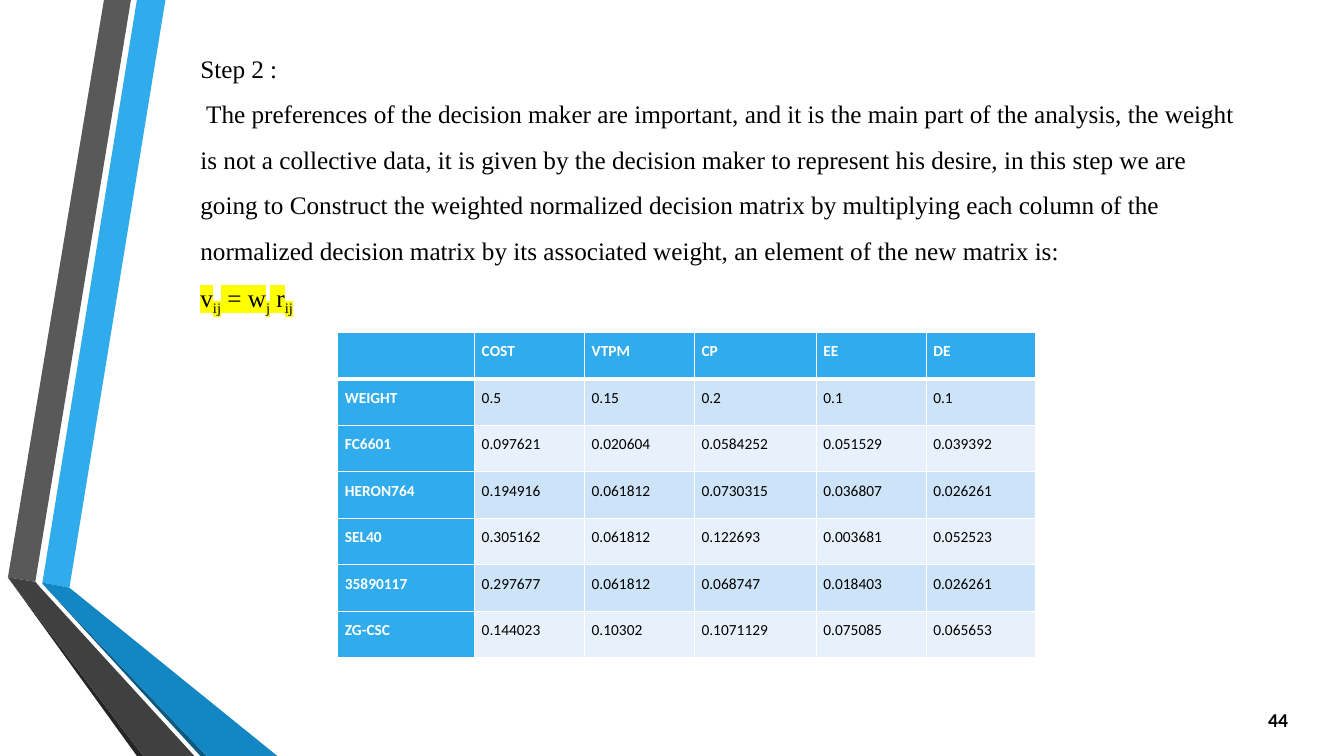
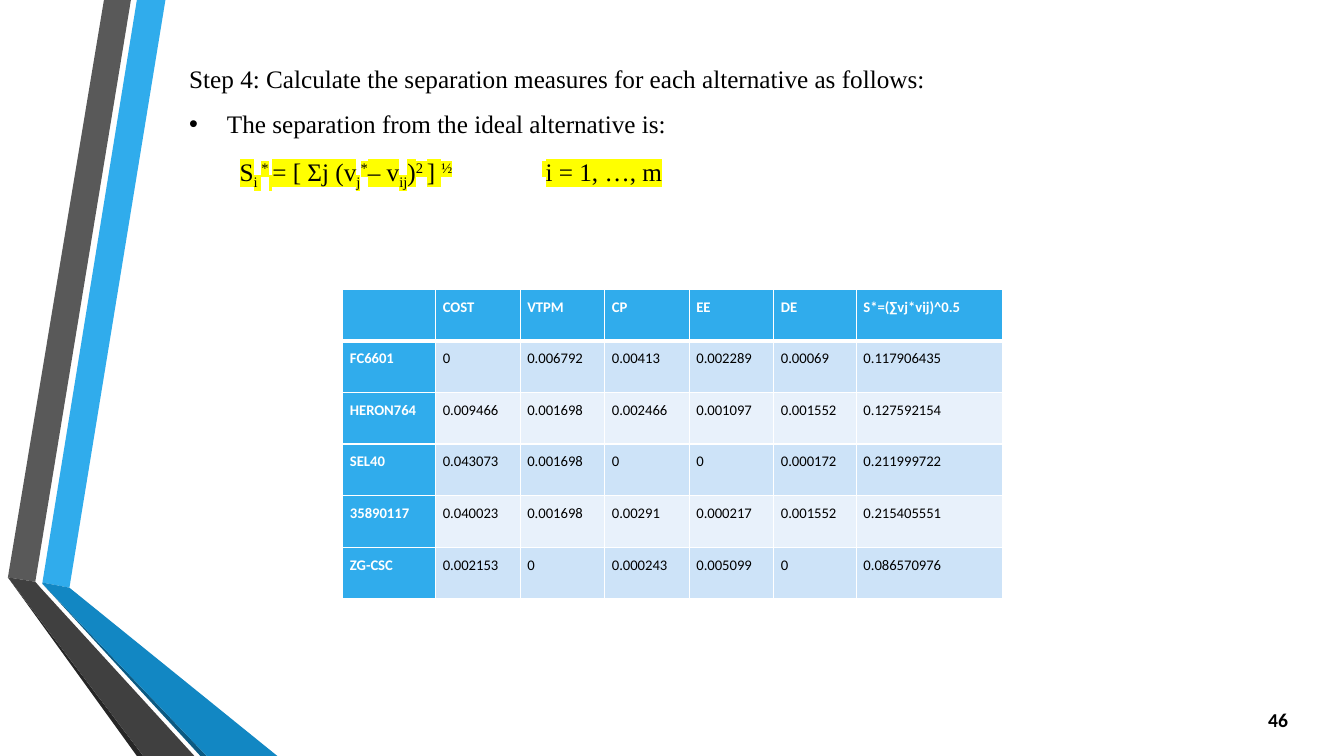
"""Builds two decision-analysis slides: weighted matrix and separation measures."""
from lxml.etree import SubElement
from pptx import Presentation
from pptx.dml.color import RGBColor
from pptx.enum.text import MSO_ANCHOR, PP_ALIGN
from pptx.oxml.ns import qn
from pptx.util import Cm, Pt

COLORS = {
    "accent": "30ACEC", "accent_dark": "1287C3", "accent_edge": "0C5A82",
    "gray": "595959", "gray_dark": "404040", "gray_edge": "262626",
    "band_odd": "CDE3F8", "band_even": "E8F1FB",
    "white": "FFFFFF", "black": "000000", "marker": "FFFF00",
}
BODY_FONT, TABLE_FONT = "Times New Roman", "Calibri"
SUB, SUP = -25000, 30000

RIBBONS = [
    ("accent", [(1.07, 14.68), (1.75, 14.81), (4.17, 0), (3.45, 0)]),
    ("gray", [(3.3, 0), (2.62, 0), (0.2, 14.55), (0.89, 14.66)]),
    ("gray_edge", [(0.2, 14.55), (3.45, 19.05), (3.61, 19.05)]),
    ("accent_edge", [(1.07, 14.71), (5.05, 19.05), (5.21, 19.05)]),
    ("accent_dark", [(1.07, 14.71), (5.21, 19.05), (6.99, 19.05), (1.75, 14.81), (1.07, 14.68)]),
    ("gray_dark", [(4.9, 19.05), (1.02, 14.81), (0.89, 14.66), (0.2, 14.55), (3.61, 19.05)]),
]

SLIDES = [
    {
        "number": "44",
        "body_box": (4.8, 0.84, 26.82, 7.04),
        "body": [
            {"text": "Step 2 :"},
            {"text": " The preferences of the decision maker are important, and it is the main part "
                     "of the analysis, the weight is not a collective data, it is given by the "
                     "decision maker to represent his desire, in this step we are going to Construct "
                     "the weighted normalized decision matrix by multiplying each column of the "
                     "normalized decision matrix by its associated weight, an element of the new "
                     "matrix is:"},
            {"formula": [("v", 0), ("ij", SUB), (" = w", 0), ("j", SUB), (" r", 0), ("ij", SUB)]},
        ],
        "table_at": (8.51, 8.38),
        "columns": [3.45, 2.77, 2.77, 3.07, 2.77, 2.77],
        "row_height": 1.17,
        "table_size": 11,
        "rows": [
            ("", "COST", "VTPM", "CP", "EE", "DE"),
            ("WEIGHT", "0.5", "0.15", "0.2", "0.1", "0.1"),
            ("FC6601", "0.097621", "0.020604", "0.0584252", "0.051529", "0.039392"),
            ("HERON764", "0.194916", "0.061812", "0.0730315", "0.036807", "0.026261"),
            ("SEL40", "0.305162", "0.061812", "0.122693", "0.003681", "0.052523"),
            ("35890117", "0.297677", "0.061812", "0.068747", "0.018403", "0.026261"),
            ("ZG-CSC", "0.144023", "0.10302", "0.1071129", "0.075085", "0.065653"),
        ],
    },
    {
        "number": "46",
        "body_box": (4.52, 1.09, 21.23, 3.58),
        "body": [
            {"text": "Step 4: Calculate the separation measures for each alternative as follows:"},
            {"text": "The separation from the ideal alternative is:", "bullet": "•"},
            {"tabs": [1.27, 8.89],
             "formula": [("\t", 0), ("S", 0), ("i ", SUB), ("*", SUP), (" ", SUB), ("= [ Σj (v", 0),
                         ("j", SUB), ("*", SUP), ("– v", 0), ("ij", SUB), (")", 0), ("2 ", SUP),
                         ("] ", 0), ("½", SUP), ("\t", 0), (" ", SUP), ("i = 1, …, m", 0)]},
        ],
        "table_at": (8.64, 7.29),
        "columns": [2.34, 2.13, 2.13, 2.13, 2.13, 2.08, 3.68],
        "row_height": 1.3,
        "table_size": 10.5,
        "rows": [
            ("", "COST", "VTPM", "CP", "EE", "DE", "S*=(∑vj*vij)^0.5"),
            ("FC6601", "0", "0.006792", "0.00413", "0.002289", "0.00069", "0.117906435"),
            ("HERON764", "0.009466", "0.001698", "0.002466", "0.001097", "0.001552", "0.127592154"),
            ("SEL40", "0.043073", "0.001698", "0", "0", "0.000172", "0.211999722"),
            ("35890117", "0.040023", "0.001698", "0.00291", "0.000217", "0.001552", "0.215405551"),
            ("ZG-CSC", "0.002153", "0", "0.000243", "0.005099", "0", "0.086570976"),
        ],
    },
]


def rgb(color):
    return RGBColor.from_string(COLORS[color])


def set_font(paragraph, face, size, color="black", bold=False):
    font = paragraph.font
    font.name, font.size, font.bold = face, Pt(size), bold
    font.color.rgb = rgb(color)


def add_ribbons(slide, layout):
    for color, points in RIBBONS:
        corners = [(Cm(x), Cm(y)) for x, y in points]
        builder = slide.shapes.build_freeform(*corners[0])
        builder.add_line_segments(corners[1:], close=True)
        ribbon = builder.convert_to_shape()
        ribbon.shadow.inherit = False
        ribbon.fill.solid()
        ribbon.fill.fore_color.rgb = rgb(color)
        ribbon.line.fill.background()
        layout.shapes.element.append(ribbon.element)


def add_formula(paragraph, parts):
    for text, baseline in parts:
        run = paragraph.add_run()
        run.text = text
        properties = run.font._element
        if baseline:
            properties.set("baseline", str(baseline))
        if text != "\t":
            highlight = SubElement(properties, qn("a:highlight"))
            SubElement(highlight, qn("a:srgbClr"), val=COLORS["marker"])


def add_body(slide, box, lines):
    frame = slide.shapes.add_textbox(*map(Cm, box)).text_frame
    frame.word_wrap = True
    for index, line in enumerate(lines):
        paragraph = frame.add_paragraph() if index else frame.paragraphs[0]
        properties = paragraph._p.get_or_add_pPr()
        if "bullet" in line:
            properties.set("marL", str(Cm(0.95)))
            properties.set("indent", str(-Cm(0.95)))
            SubElement(properties, qn("a:buFont"), typeface="Arial")
            SubElement(properties, qn("a:buChar"), char=line["bullet"])
        if "tabs" in line:
            stops = SubElement(properties, qn("a:tabLst"))
            for position in line["tabs"]:
                SubElement(stops, qn("a:tab"), pos=str(Cm(position)), algn="l")
        paragraph.line_spacing = 1.5
        set_font(paragraph, BODY_FONT, 18)
        if "formula" in line:
            add_formula(paragraph, line["formula"])
        else:
            paragraph.add_run().text = line["text"]


def set_borders(cell, is_header):
    properties = cell._tc.get_or_add_tcPr()
    for side in "LRTB":
        width = Pt(3 if is_header and side == "B" else 1)
        border = SubElement(properties, qn(f"a:ln{side}"), w=str(width))
        fill = SubElement(border, qn("a:solidFill"))
        SubElement(fill, qn("a:srgbClr"), val=COLORS["white"])


def add_matrix(slide, content):
    rows, columns, height = content["rows"], content["columns"], content["row_height"]
    left, top = content["table_at"]
    matrix = slide.shapes.add_table(len(rows), len(columns), Cm(left), Cm(top),
                                    Cm(sum(columns)), Cm(height * len(rows))).table
    matrix.first_col = True
    for column, width in zip(matrix.columns, columns):
        column.width = Cm(width)
    for r, values in enumerate(rows):
        matrix.rows[r].height = Cm(height)
        for c, value in enumerate(values):
            cell = matrix.cell(r, c)
            is_heading = r == 0 or c == 0
            cell.margin_left = cell.margin_right = Cm(0.18)
            cell.margin_top = cell.margin_bottom = 0
            set_borders(cell, r == 0)
            cell.fill.solid()
            band = "band_odd" if r % 2 else "band_even"
            cell.fill.fore_color.rgb = rgb("accent" if is_heading else band)
            paragraph = cell.text_frame.paragraphs[0]
            paragraph.line_spacing = 1.5
            set_font(paragraph, TABLE_FONT, content["table_size"],
                     "white" if is_heading else "black", is_heading)
            if value:
                paragraph.add_run().text = value


def add_number(slide, number):
    frame = slide.shapes.add_textbox(Cm(31.19), Cm(17.63), Cm(1.52), Cm(1.02)).text_frame
    frame.word_wrap = True
    frame.vertical_anchor = MSO_ANCHOR.MIDDLE
    paragraph = frame.paragraphs[0]
    paragraph.alignment = PP_ALIGN.RIGHT
    set_font(paragraph, TABLE_FONT, 14, bold=True)
    paragraph.add_run().text = number


def main():
    deck = Presentation()
    deck.slide_width, deck.slide_height = Cm(33.87), Cm(19.05)
    layout = deck.slide_layouts[6]
    for content in SLIDES:
        slide = deck.slides.add_slide(layout)
        if content is SLIDES[0]:
            add_ribbons(slide, layout)
        add_number(slide, content["number"])
        add_body(slide, content["body_box"], content["body"])
        add_matrix(slide, content)
    deck.save("out.pptx")


if __name__ == "__main__":
    main()
